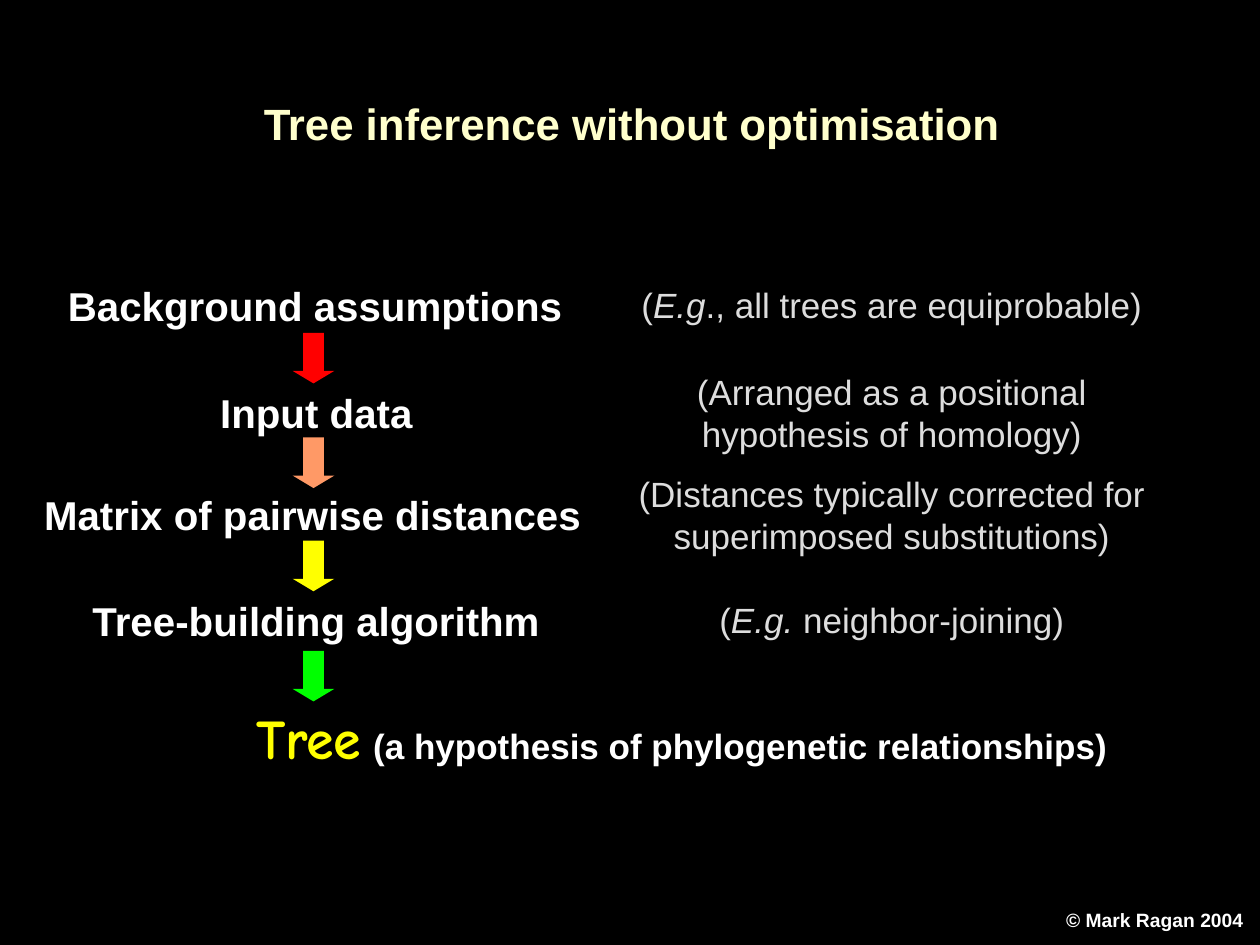
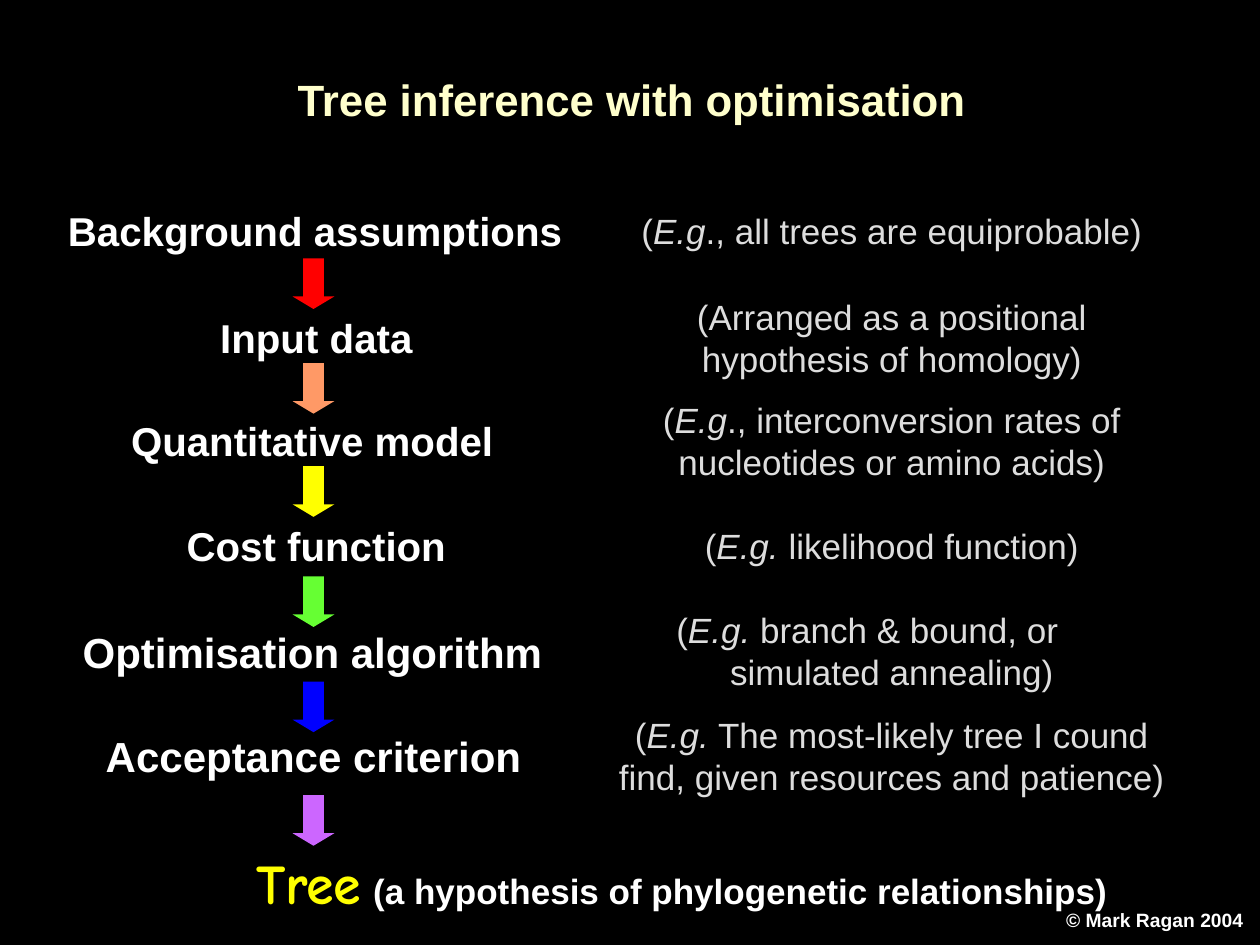
"""Build two slides on tree inference without and with optimisation."""
from pptx import Presentation
from pptx.dml.color import RGBColor
from pptx.enum.shapes import MSO_SHAPE
from pptx.enum.text import PP_ALIGN
from pptx.util import Cm, Pt

BLACK = RGBColor(0x00, 0x00, 0x00)
WHITE = RGBColor(0xFF, 0xFF, 0xFF)
GREY = RGBColor(0xDD, 0xDD, 0xDD)
CREAM = RGBColor(0xFF, 0xFF, 0xCC)
RED = RGBColor(0xFF, 0x00, 0x00)
ORANGE = RGBColor(0xFF, 0x99, 0x66)
YELLOW = RGBColor(0xFF, 0xFF, 0x00)
GREEN = RGBColor(0x00, 0xFF, 0x00)
LIME = RGBColor(0x66, 0xFF, 0x33)
BLUE = RGBColor(0x00, 0x00, 0xFF)
VIOLET = RGBColor(0xCC, 0x66, 0xFF)

BODY_FONT, TREE_FONT = "Arial", "Comic Neue"
FOOTER = "© Mark Ragan 2004"
TREE_NOTE = "(a hypothesis of phylogenetic relationships)"

# Each stage: (step, size, centre x, width), (note, lines, width), arrow colour
SHARED_STAGES = [
    (("Background assumptions", 23, 6.36, 10.95),
     ("(*E.g*., all trees are equiprobable)", 1, 12.95), RED),
    (("Input data", 23, 6.38, 10.16),
     ("(Arranged as a positional hypothesis of homology)", 2, 11.23), ORANGE),
]
SLIDES = [
    {"title": "Tree inference without optimisation", "title_y": 1.3,
     "stages_y": 5.54, "tree_y": 14.05,
     "stages": SHARED_STAGES + [
         (("Matrix of pairwise distances", 23, 6.31, 12.07),
          ("(Distances typically corrected for superimposed substitutions)", 2, 12.14), YELLOW),
         (("Tree-building algorithm", 23, 6.38, 10.16),
          ("(*E.g.* neighbor-joining)", 1, 12.14), GREEN),
     ]},
    {"title": "Tree inference with optimisation", "title_y": 0.81,
     "stages_y": 4.04, "tree_y": 16.99,
     "stages": SHARED_STAGES + [
         (("Quantitative model", 23, 6.3, 10.16),
          ("(*E.g*., interconversion rates of nucleotides or amino acids)", 2, 12.14), YELLOW),
         (("Cost function", 23, 6.38, 10.16),
          ("(*E.g.* likelihood function)", 1, 12.14), LIME),
         (("Optimisation algorithm", 24, 6.3, 10.16),
          ("(*E.g.* branch & bound, or\nsimulated annealing)", 2, 12.14), BLUE),
         (("Acceptance criterion", 24, 6.32, 10.16),
          ("(*E.g.* The most-likely tree I cound find, given resources and patience)", 2, 12.14),
          VIOLET),
     ]},
]

STEP_Y = [0, 2.16, 4.22, 6.35, 8.46, 10.57]
ARROW_Y = [1.17, 3.28, 5.36, 7.58, 9.7, 11.99]
STEP_H = 1.24
NOTE_X, NOTE_H = 17.98, {1: 1.12, 2: 1.96}
SECOND_LINE_INDENT = 0.99
ARROW_X, ARROW_W, ARROW_H = 6.32, 0.84, 1.02


def add_box(s, cx, y, w, h):
    tf = s.shapes.add_textbox(Cm(cx - w / 2), Cm(y), Cm(w), Cm(h)).text_frame
    tf.word_wrap = True
    tf.paragraphs[0].alignment = PP_ALIGN.CENTER
    return tf


def add_run(p, text, size, color, bold=False, italic=False, font=BODY_FONT):
    r = p.add_run()
    r.text = text
    r.font.name, r.font.size = font, Pt(size)
    r.font.bold, r.font.italic = bold, italic
    r.font.color.rgb = color


def add_label(s, text, size, color, cx, y, w, h):
    p = add_box(s, cx, y, w, h).paragraphs[0]
    add_run(p, text, size, color, bold=True)
    return p


def add_note(s, text, center_y, lines, w):
    parts = text.split("\n")
    cx = NOTE_X - SECOND_LINE_INDENT / 2 * (len(parts) - 1)
    h = NOTE_H[lines]
    tf = add_box(s, cx, center_y - h / 2, w, h)
    for i, part in enumerate(parts):
        p = tf.add_paragraph() if i else tf.paragraphs[0]
        p.alignment = PP_ALIGN.CENTER
        if i:
            p._p.get_or_add_pPr().set("marL", str(Cm(SECOND_LINE_INDENT)))
        for j, piece in enumerate(part.split("*")):
            add_run(p, piece, 20, GREY, italic=j % 2 == 1)


def add_arrow(s, y, color):
    sp = s.shapes.add_shape(MSO_SHAPE.DOWN_ARROW, Cm(ARROW_X - ARROW_W / 2), Cm(y),
                            Cm(ARROW_W), Cm(ARROW_H))
    sp.adjustments[0], sp.adjustments[1] = 0.5, 0.3
    sp.shadow.inherit = False
    sp.fill.solid()
    sp.fill.fore_color.rgb = color
    sp.line.fill.background()


def add_tree(s, y):
    p = add_box(s, 13.75, y, 21.56, 1.63).paragraphs[0]
    add_run(p, "Tree", 32, YELLOW, bold=True, font=TREE_FONT)
    add_run(p, " ", 24, WHITE, bold=True)
    add_run(p, TREE_NOTE, 20, WHITE, bold=True)


def build_slide(prs, content):
    s = prs.slides.add_slide(prs.slide_layouts[6])
    s.background.fill.solid()
    s.background.fill.fore_color.rgb = BLACK
    title = add_label(s, content["title"], 25, CREAM, 12.73, content["title_y"], 24.18, 1.85)
    title.line_spacing = 1.5
    top = content["stages_y"]
    for (step, note, color), step_y, arrow_y in zip(content["stages"], STEP_Y, ARROW_Y):
        text, size, cx, w = step
        add_label(s, text, size, WHITE, cx, top + step_y, w, STEP_H)
        note_text, lines, note_w = note
        add_note(s, note_text, top + step_y + STEP_H / 2, lines, note_w)
        add_arrow(s, top + arrow_y, color)
    add_tree(s, content["tree_y"])
    add_label(s, FOOTER, 11, WHITE, 23.28, 18.19, 4.24, 0.86)


def main():
    prs = Presentation()
    prs.slide_width, prs.slide_height = Cm(25.4), Cm(19.05)
    for content in SLIDES:
        build_slide(prs, content)
    prs.save("out.pptx")


if __name__ == "__main__":
    main()
